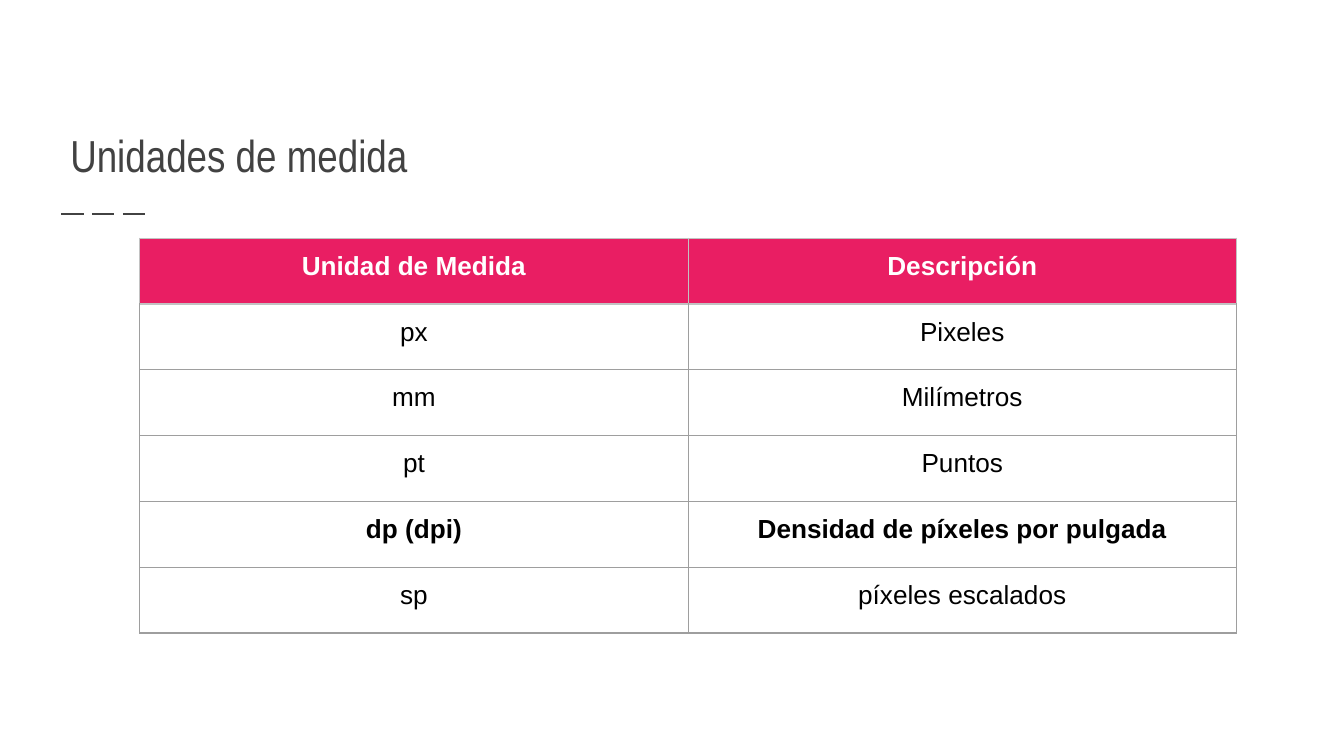
from typing import NamedTuple

from lxml.etree import SubElement
from pptx import Presentation
from pptx.dml.color import RGBColor
from pptx.enum.dml import MSO_LINE_DASH_STYLE as Dash
from pptx.enum.shapes import MSO_CONNECTOR as Connector
from pptx.enum.text import MSO_ANCHOR as Anchor, PP_ALIGN as Align
from pptx.oxml.ns import qn
from pptx.util import Inches, Pt

WIDTH = 10
HEIGHT = WIDTH * 9 / 16
INSET = Inches(0.1)
GRAY, PINK, WHITE, BLACK = "424242", "E91E63", "FFFFFF", "000000"
HEADER_BORDER, BODY_BORDER = "C2C2C2", "9E9E9E"
COLUMN_WIDTH, ROW_HEIGHT = 4.08, 0.49


class UnitRow(NamedTuple):
    unit: str
    description: str
    bold: bool = False


UNIT_ROWS = [
    UnitRow("Unidad de Medida", "Descripción", True),
    UnitRow("px", "Pixeles"),
    UnitRow("mm", "Milímetros"),
    UnitRow("pt", "Puntos"),
    UnitRow("dp (dpi)", "Densidad de píxeles por pulgada", True),
    UnitRow("sp", "píxeles escalados"),
]


def color(value: str) -> RGBColor:
    return RGBColor.from_string(value)


def across(percent: float) -> int:
    return Inches(WIDTH * percent / 100)


def down(percent: float) -> int:
    return Inches(HEIGHT * percent / 100)


def set_margins(target) -> None:
    for side in ("left", "top", "right", "bottom"):
        setattr(target, f"margin_{side}", INSET)


def write(paragraph, text: str, font_color: str, **formats) -> None:
    run = paragraph.add_run()
    run.text = text
    run.font.color.rgb = color(font_color)
    for name, value in formats.items():
        setattr(run.font, name, value)


def set_borders(cell, **side_colors: str) -> None:
    properties = cell._tc.get_or_add_tcPr()
    for index, (side, value) in enumerate(side_colors.items()):
        line = SubElement(properties, qn(f"a:ln{side}"), w=str(Pt(0.75)))
        fill = SubElement(line, qn("a:solidFill"))
        SubElement(fill, qn("a:srgbClr"), val=value)
        properties.insert(index, line)  # borders come before the fill


def add_title(slide, text: str) -> None:
    box = slide.shapes.add_textbox(across(4.25), down(11), across(30.7), down(14.8))
    frame = box.text_frame
    frame.word_wrap = True
    frame.vertical_anchor = Anchor.BOTTOM
    set_margins(frame)
    write(frame.paragraphs[0], text, GRAY, name="Arial Narrow", size=Pt(24))


def add_dashes(slide) -> None:
    level = down(28.3)
    dashes = slide.shapes.add_connector(
        Connector.STRAIGHT, across(4.55), level, across(11.3), level)
    dashes.line.color.rgb = color(GRAY)
    dashes.line.width = Pt(1.5)
    dashes.line.dash_style = Dash.LONG_DASH
    SubElement(dashes._element.spPr, qn("a:effectLst"))


def add_unit_table(slide, rows: list[UnitRow]) -> None:
    table = slide.shapes.add_table(
        len(rows), 2, across(10.4), down(31.5),
        Inches(2 * COLUMN_WIDTH), Inches(len(rows) * ROW_HEIGHT)).table
    table.first_row = table.horz_banding = False
    for row_index, row in enumerate(rows):
        header = row_index == 0
        border = HEADER_BORDER if header else BODY_BORDER
        top = HEADER_BORDER if row_index <= 1 else BODY_BORDER
        for cell, text in zip(table.rows[row_index].cells, (row.unit, row.description)):
            set_margins(cell)
            if header:
                cell.fill.solid()
                cell.fill.fore_color.rgb = color(PINK)
            else:
                cell.fill.background()
            set_borders(cell, L=border, R=border, T=top, B=border)
            paragraph = cell.text_frame.paragraphs[0]
            paragraph.alignment = Align.CENTER
            write(paragraph, text, WHITE if header else BLACK,
                  name="Arial", size=Pt(14), bold=row.bold)


def main() -> None:
    presentation = Presentation()
    presentation.slide_width, presentation.slide_height = Inches(WIDTH), Inches(HEIGHT)
    slide = presentation.slides.add_slide(presentation.slide_layouts[6])

    # Heading
    add_dashes(slide)
    add_title(slide, "Unidades de medida")

    # Units and their descriptions
    add_unit_table(slide, UNIT_ROWS)

    presentation.save("out.pptx")


if __name__ == "__main__":
    main()
